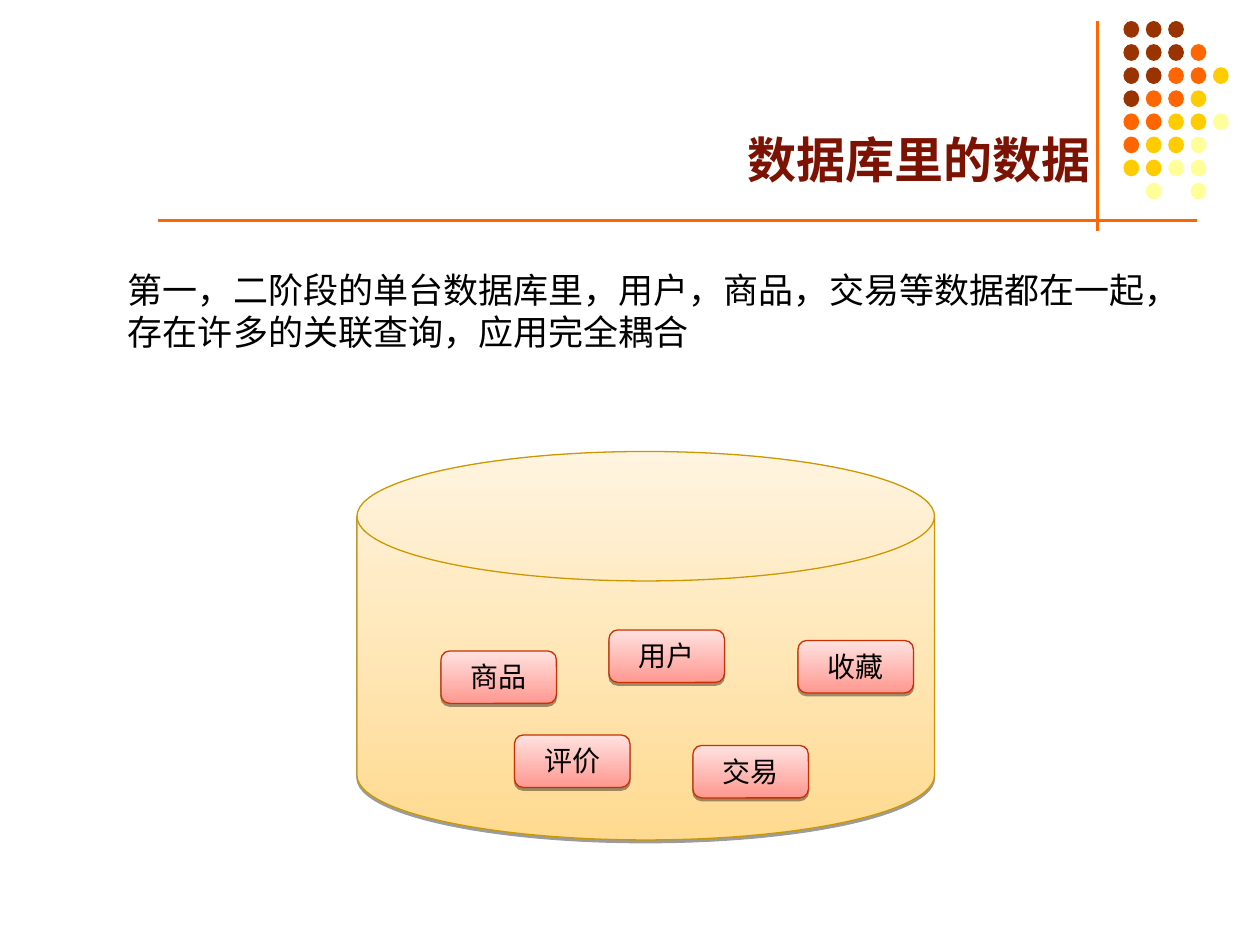
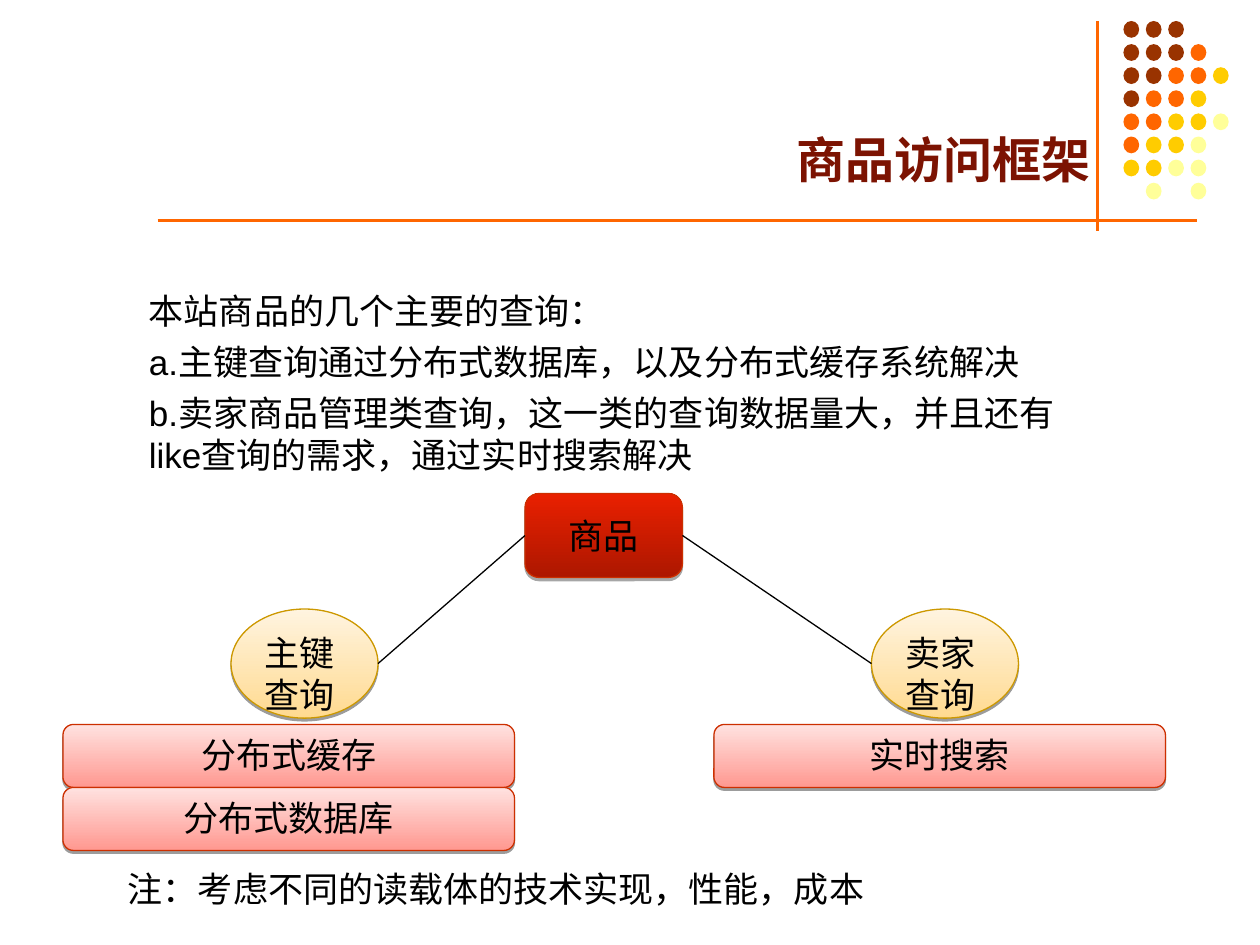
from dataclasses import dataclass

from lxml.etree import SubElement
from pptx import Presentation
from pptx.dml.color import RGBColor
from pptx.enum.shapes import MSO_CONNECTOR, MSO_SHAPE
from pptx.enum.text import MSO_ANCHOR, PP_ALIGN
from pptx.oxml.ns import qn
from pptx.util import Emu, Inches, Pt

# Grid: 120 columns by 90 rows over the whole slide
SLIDE_W, SLIDE_H = Inches(10), Inches(7.5)
COLS, ROWS = 120, 90

FONT = "Arial"
BLACK = RGBColor(0x00, 0x00, 0x00)
TITLE_RED = RGBColor(0x7C, 0x13, 0x02)
ORANGE = RGBColor(0xFF, 0x66, 0x00)
BROWN = RGBColor(0x99, 0x33, 0x00)
GOLD = RGBColor(0xFF, 0xCC, 0x00)
PALE_YELLOW = RGBColor(0xFF, 0xFF, 0x99)
GOLD_EDGE = RGBColor(0xCC, 0x98, 0x00)
RED_EDGE = RGBColor(0xCC, 0x2F, 0x00)

# Corner ornament: one letter per dot
DOT_COLOURS = {"B": BROWN, "O": ORANGE, "G": GOLD, "Y": PALE_YELLOW}
DOT_ROWS = ("BBB", "BBBO", "BBOOG", "BOOG", "OOGGY", "OGGY", "GGYY", " Y Y")
DOT_LEFT, DOT_TOP, DOT_W, DOT_H = 107, 2, 1.5, 1.6
DOT_COL_STEP, DOT_ROW_STEP = 2.13, 2.2


@dataclass(frozen=True)
class Skin:
    bottom: RGBColor
    top: RGBColor
    edge: RGBColor
    shadow_alpha: int = 38
    shadow_dist: float = 1.6


CREAM = Skin(RGBColor(0xFF, 0xDA, 0x90), RGBColor(0xFF, 0xF4, 0xE0), GOLD_EDGE)
PINK = Skin(RGBColor(0xFF, 0x98, 0x90), RGBColor(0xFF, 0xE2, 0xE0), RED_EDGE)
RED = Skin(RGBColor(0xAD, 0x17, 0x00), RGBColor(0xE9, 0x20, 0x00), RED_EDGE, 35, 1.8)


@dataclass(frozen=True)
class Box:
    col: float
    row: float
    cols: float
    rows: float


@dataclass(frozen=True)
class Node:
    text: str
    box: Box
    skin: Skin = PINK
    kind: MSO_SHAPE = MSO_SHAPE.ROUNDED_RECTANGLE
    size: int = 20
    align: PP_ALIGN = PP_ALIGN.CENTER
    anchor: MSO_ANCHOR = MSO_ANCHOR.TOP


def x(cols: float) -> Emu:
    return Emu(round(SLIDE_W * cols / COLS))


def y(rows: float) -> Emu:
    return Emu(round(SLIDE_H * rows / ROWS))


def place(box: Box) -> tuple:
    return x(box.col), y(box.row), x(box.cols), y(box.rows)


def write(tf, text: str, *, size=20, color=BLACK, bold=False,
          align=PP_ALIGN.LEFT, anchor=MSO_ANCHOR.TOP, before=5) -> None:
    """Fill a text frame, one paragraph per line of text."""
    tf.word_wrap = True
    tf.vertical_anchor = anchor
    for i, line in enumerate(text.split("\n")):
        p = tf.add_paragraph() if i else tf.paragraphs[0]
        p.alignment = align
        p.space_before = Pt(before)
        r = p.add_run()
        r.text = line
        r.font.name, r.font.size = FONT, Pt(size)
        r.font.bold, r.font.color.rgb = bold, color


def add_text(s, text: str, box: Box, **fmt) -> None:
    write(s.shapes.add_textbox(*place(box)).text_frame, text, **fmt)


def add_line(s, start: tuple, end: tuple, color=BLACK, width=0.75):
    line = s.shapes.add_connector(
        MSO_CONNECTOR.STRAIGHT, x(start[0]), y(start[1]), x(end[0]), y(end[1]))
    line.line.color.rgb = color
    line.line.width = Pt(width)
    SubElement(line._element.spPr, qn("a:effectLst"))
    return line


def add_shadow(sp, skin: Skin) -> None:
    sp.shadow.inherit = False
    effects = sp._element.spPr.find(qn("a:effectLst"))
    shadow = SubElement(effects, qn("a:outerShdw"), blurRad="0",
                        dist=str(Pt(skin.shadow_dist)), dir="5400000",
                        algn="t", rotWithShape="0")
    color = SubElement(shadow, qn("a:srgbClr"), val=str(BLACK))
    SubElement(color, qn("a:alpha"), val=str(skin.shadow_alpha * 1000))


def add_node(s, node: Node):
    sp = s.shapes.add_shape(node.kind, *place(node.box))
    sp.fill.gradient()
    sp.fill.gradient_angle = 90
    for stop, color in zip(sp.fill.gradient_stops, (node.skin.bottom, node.skin.top)):
        stop.color.rgb = color
    sp.line.color.rgb = node.skin.edge
    sp.line.width = Pt(0.75)
    add_shadow(sp, node.skin)
    if node.text:
        write(sp.text_frame, node.text, size=node.size, align=node.align,
              anchor=node.anchor, before=node.size / 4)
    return sp


def add_dots(s) -> None:
    for i, pattern in enumerate(DOT_ROWS):
        for j, key in enumerate(pattern):
            if key not in DOT_COLOURS:
                continue
            box = Box(DOT_LEFT + j * DOT_COL_STEP, DOT_TOP + i * DOT_ROW_STEP, DOT_W, DOT_H)
            dot = s.shapes.add_shape(MSO_SHAPE.OVAL, *place(box))
            dot.shadow.inherit = False
            dot.fill.solid()
            dot.fill.fore_color.rgb = DOT_COLOURS[key]
            dot.line.fill.background()


def add_titled_slide(prs, title: str):
    """Start a slide with the shared rules, dots and title."""
    s = prs.slides.add_slide(prs.slide_layouts[6])
    add_line(s, (104.5, 2), (104.5, 22), ORANGE, 1.5)
    add_dots(s)
    add_line(s, (15, 21), (114, 21), ORANGE, 1.5)
    add_text(s, title, Box(6, 1.5, 99, 17), size=28, color=TITLE_RED, bold=True,
             align=PP_ALIGN.RIGHT, anchor=MSO_ANCHOR.BOTTOM, before=0)
    return s


def build_database_slide(prs) -> None:
    s = add_titled_slide(prs, "数据库里的数据")
    add_node(s, Node("", Box(34, 43, 55, 37), CREAM, MSO_SHAPE.FLOWCHART_MAGNETIC_DISK))
    add_text(s, "第一，二阶段的单台数据库里，用户，商品，交易等数据都在一起，存在许多的关联查询，应用完全耦合",
             Box(11, 25, 100, 9.24))
    # Data kinds inside the database
    tables = (("用户", 58, 60), ("商品", 42, 62), ("交易", 66, 71),
              ("评价", 49, 70), ("收藏", 76, 61))
    for name, col, row in tables:
        add_node(s, Node(name, Box(col, row, 11, 5), size=16))


def build_access_slide(prs) -> None:
    s = add_titled_slide(prs, "商品访问框架")
    add_text(s, "本站商品的几个主要的查询：\n"
                "a.主键查询通过分布式数据库，以及分布式缓存系统解决\n"
                "b.卖家商品管理类查询，这一类的查询数据量大，并且还有like查询的需求，通过实时搜索解决",
             Box(13, 27, 93, 19))
    # Goods and the two kinds of query
    goods = add_node(s, Node("商品", Box(50, 47, 15, 8), RED, anchor=MSO_ANCHOR.MIDDLE))
    queries = (("主键查询", 22, 36, 1), ("卖家查询", 83, 83, 3))
    for name, col, joint_col, side in queries:
        oval = Box(col, 58, 14, 10.4)
        add_node(s, Node(name, oval, CREAM, MSO_SHAPE.OVAL, align=PP_ALIGN.LEFT))
        link = add_line(s, (50, 51), (joint_col, oval.row + oval.rows / 2))
        link.begin_connect(goods, side)
    # Stores that answer the queries
    stores = (("分布式缓存", 6, 69), ("分布式数据库", 6, 75), ("实时搜索", 68, 69))
    for name, col, row in stores:
        add_node(s, Node(name, Box(col, row, 43, 6)))
    add_text(s, "注：考虑不同的读载体的技术实现，性能，成本", Box(11, 82, 74, 5.28))


def main() -> None:
    prs = Presentation()
    prs.slide_width, prs.slide_height = SLIDE_W, SLIDE_H
    build_database_slide(prs)
    build_access_slide(prs)
    prs.save("out.pptx")


if __name__ == "__main__":
    main()
